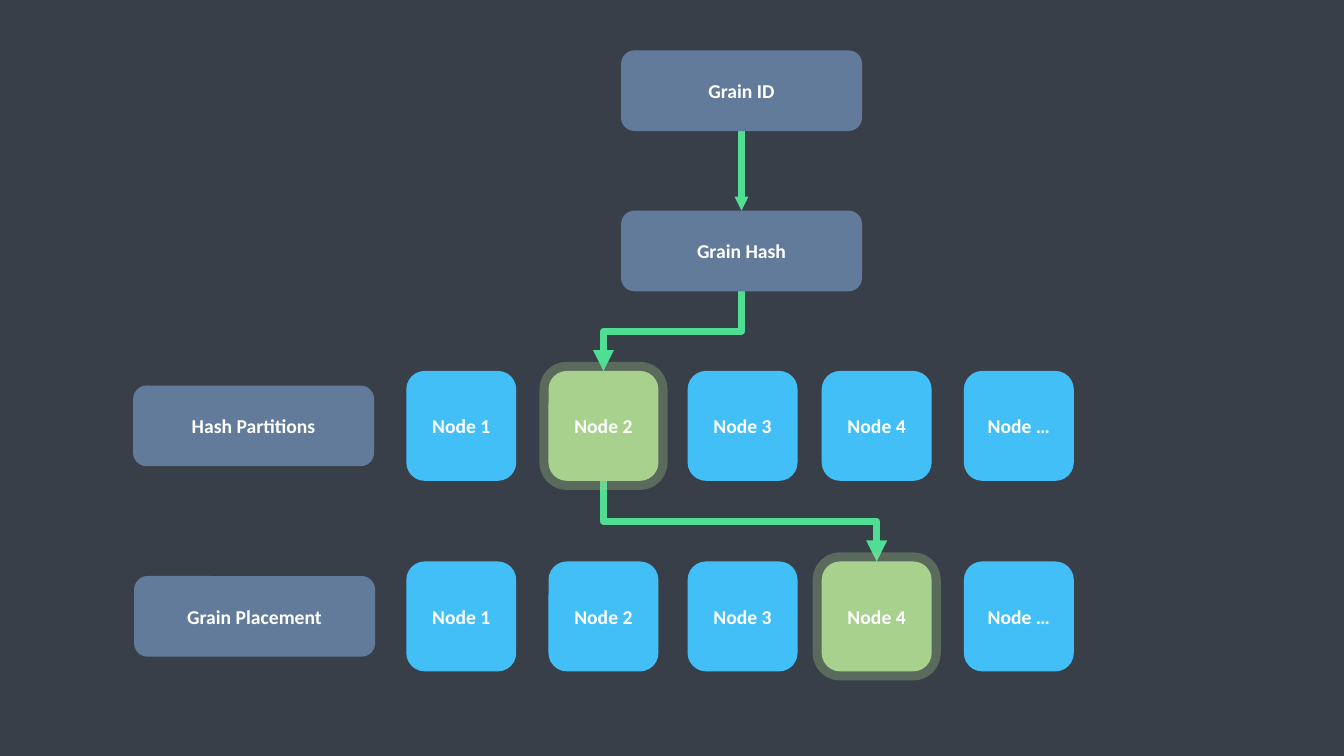
from lxml.etree import SubElement
from pptx import Presentation
from pptx.dml.color import RGBColor
from pptx.enum.shapes import MSO_CONNECTOR, MSO_SHAPE
from pptx.enum.text import MSO_ANCHOR, PP_ALIGN
from pptx.oxml.ns import qn
from pptx.util import Inches, Pt

BACKGROUND, SLATE, BLUE = "383F48", "637B9B", "43BFF7"
HIGHLIGHT, ARROW, WHITE = "A9D18E", "50DE94", "FFFFFF"

NODE_NAMES = ["Node 1", "Node 2", "Node 3", "Node 4", "Node …"]
NODE_LEFTS = [4.03, 5.44, 6.82, 8.15, 9.56]
NODE_SIZE = 1.09
LABEL_WIDTH, LABEL_HEIGHT = 2.39, 0.8
GRAIN_LEFT, ID_TOP, HASH_TOP = 6.16, 0.5, 2.09
PARTITIONS_TOP, PLACEMENT_TOP = 3.68, 5.57


def paint(color_format, color):
    color_format.rgb = RGBColor.from_string(color)


def add_box(slide, left, top, width, height, text, color):
    shape = slide.shapes.add_shape(
        MSO_SHAPE.ROUNDED_RECTANGLE,
        Inches(left), Inches(top), Inches(width), Inches(height))
    shape.shadow.inherit = False
    shape.fill.solid()
    paint(shape.fill.fore_color, color)
    shape.line.fill.background()
    frame = shape.text_frame
    frame.word_wrap = True
    frame.vertical_anchor = MSO_ANCHOR.MIDDLE
    paragraph = frame.paragraphs[0]
    paragraph.alignment = PP_ALIGN.CENTER
    run = paragraph.add_run()
    run.text = text
    run.font.name = "Calibri"
    run.font.size = Pt(14)
    run.font.bold = True
    paint(run.font.color, WHITE)
    return shape


def add_label(slide, left, top, text):
    add_box(slide, left, top, LABEL_WIDTH, LABEL_HEIGHT, text, SLATE)


def add_halo(shape):
    """Give the shape a wide, 30 % opaque outline."""
    shape.line.width = Pt(13)
    shape.line.fill.solid()
    paint(shape.line.color, HIGHLIGHT)
    color = shape.line._get_or_add_ln().find(".//" + qn("a:srgbClr"))
    SubElement(color, qn("a:alpha"), val="30000")


def add_node_row(slide, label_left, top, label, chosen):
    label_top = top + (NODE_SIZE - LABEL_HEIGHT) / 2
    add_label(slide, label_left, label_top, label)
    for left, name in zip(NODE_LEFTS, NODE_NAMES):
        color = HIGHLIGHT if name == chosen else BLUE
        node = add_box(slide, left, top, NODE_SIZE, NODE_SIZE, name, color)
        if name == chosen:
            add_halo(node)


def style_arrow(connector, head_size):
    connector.line.width = Pt(5)
    connector.line.fill.solid()
    paint(connector.line.color, ARROW)
    line = connector.line._get_or_add_ln()
    SubElement(line, qn("a:round"))
    SubElement(line, qn("a:tailEnd"), type="triangle", w=head_size, len=head_size)
    SubElement(connector._element.spPr, qn("a:effectLst"))


def add_straight_arrow(slide, x, top, bottom):
    connector = slide.shapes.add_connector(
        MSO_CONNECTOR.STRAIGHT, Inches(x), Inches(top), Inches(x), Inches(bottom))
    style_arrow(connector, "sm")


def add_bent_arrow(slide, start_x, top, end_x, bottom):
    """Run down, across and down: an elbow turned by 90 degrees about its centre."""
    center_x, center_y = (start_x + end_x) / 2, (top + bottom) / 2
    drop, shift = (bottom - top) / 2, (end_x - start_x) / 2
    connector = slide.shapes.add_connector(
        MSO_CONNECTOR.ELBOW,
        Inches(center_x - drop), Inches(center_y + shift),
        Inches(center_x + drop), Inches(center_y - shift))
    connector._element.spPr.find(qn("a:xfrm")).set("rot", "5400000")
    style_arrow(connector, "med")


def main():
    presentation = Presentation()
    presentation.slide_width = Inches(13.33)
    presentation.slide_height = Inches(7.5)
    slide = presentation.slides.add_slide(presentation.slide_layouts[6])
    slide.background.fill.solid()
    paint(slide.background.fill.fore_color, BACKGROUND)

    node_centers = {name: left + NODE_SIZE / 2
                    for name, left in zip(NODE_NAMES, NODE_LEFTS)}
    grain_center = GRAIN_LEFT + LABEL_WIDTH / 2

    add_bent_arrow(slide, node_centers["Node 2"], PARTITIONS_TOP + NODE_SIZE,
                   node_centers["Node 4"], PLACEMENT_TOP)
    add_straight_arrow(slide, grain_center, ID_TOP + LABEL_HEIGHT, HASH_TOP)
    add_label(slide, GRAIN_LEFT, ID_TOP, "Grain ID")
    add_node_row(slide, 1.32, PARTITIONS_TOP, "Hash Partitions", "Node 2")
    add_node_row(slide, 1.33, PLACEMENT_TOP, "Grain Placement", "Node 4")
    add_bent_arrow(slide, grain_center, HASH_TOP + LABEL_HEIGHT,
                   node_centers["Node 2"], PARTITIONS_TOP)
    add_label(slide, GRAIN_LEFT, HASH_TOP, "Grain Hash")
    presentation.save("out.pptx")


if __name__ == "__main__":
    main()
